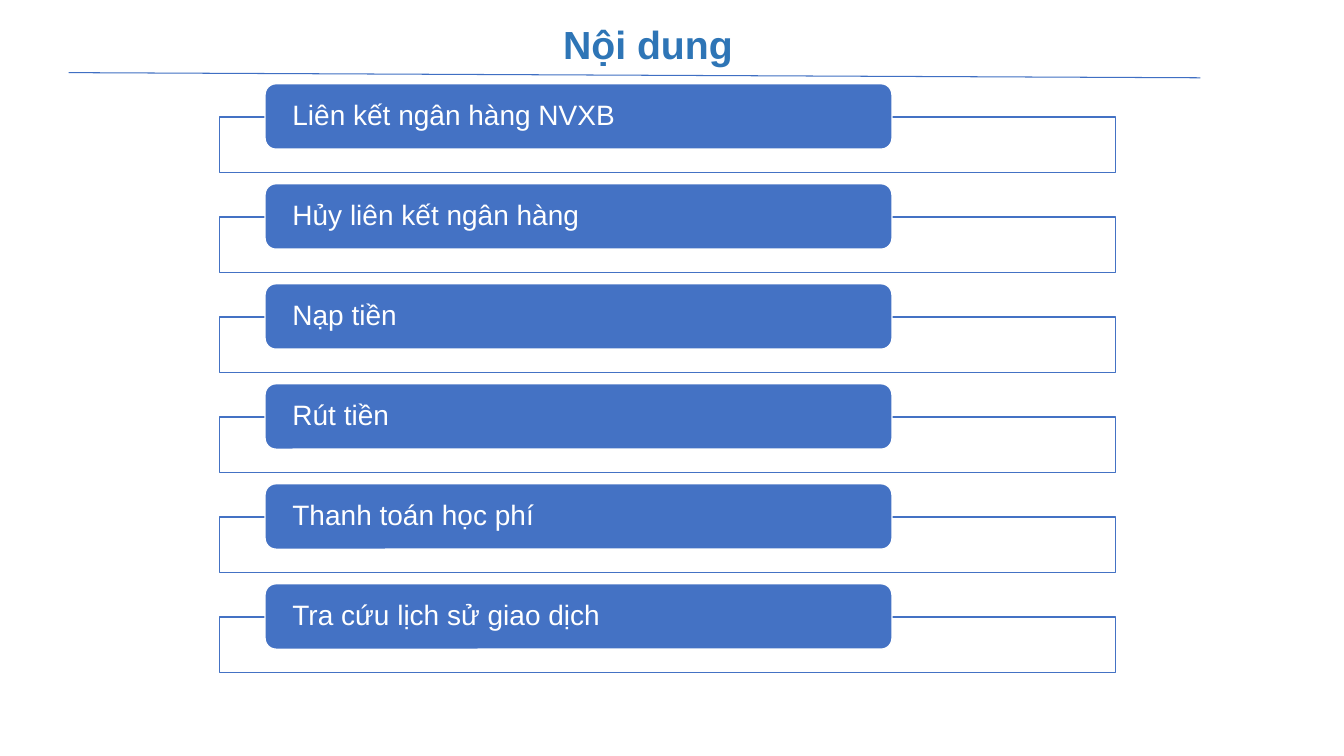
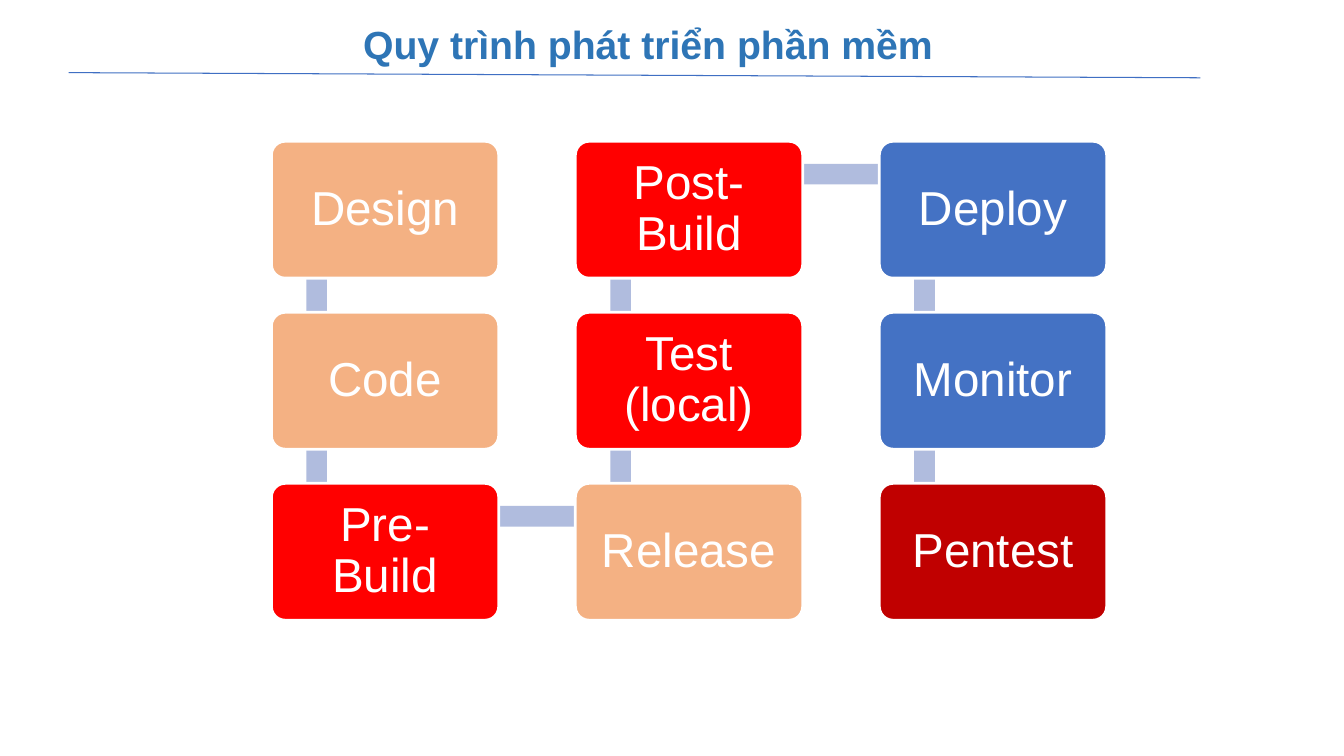
import pptx
import pptx.util
import pptx.dml.color
import pptx.enum.shapes
import pptx.enum.text
import pptx.oxml.ns
import lxml.etree

Cm = pptx.util.Cm
Pt = pptx.util.Pt
RGBColor = pptx.dml.color.RGBColor
SHAPES = pptx.enum.shapes.MSO_SHAPE
ALIGN = pptx.enum.text.PP_ALIGN
MIDDLE = pptx.enum.text.MSO_ANCHOR.MIDDLE

FONT = "Arial"
WHITE = RGBColor(0xFF, 0xFF, 0xFF)
TITLE_BLUE = RGBColor(0x2E, 0x75, 0xB6)
RULE_BLUE = RGBColor(0x3F, 0x6F, 0xC3)
BLUE = RGBColor(0x44, 0x72, 0xC4)
LAVENDER = RGBColor(0xB0, 0xBC, 0xDE)
ORANGE = RGBColor(0xF4, 0xB1, 0x83)
RED = RGBColor(0xFF, 0x00, 0x00)
DARK_RED = RGBColor(0xC0, 0x00, 0x00)

TOPICS = [
    "Liên kết ngân hàng NVXB",
    "Hủy liên kết ngân hàng",
    "Nạp tiền",
    "Rút tiền",
    "Thanh toán học phí",
    "Tra cứu lịch sử giao dịch",
]
TOPIC_PITCH = 2.52

STAGES = [
    ("Design", ORANGE),
    ("Code", ORANGE),
    ("Pre-Build", RED),
    ("Release", ORANGE),
    ("Test (local)", RED),
    ("Post-Build", RED),
    ("Deploy", BLUE),
    ("Monitor", BLUE),
    ("Pentest", DARK_RED),
]
STAGES_PER_COLUMN = 3
STAGE_LEFT, STAGE_TOP = 6.84, 3.56
STAGE_WIDTH, STAGE_HEIGHT = 5.73, 3.45
COLUMN_PITCH, ROW_PITCH = 7.66, 4.31
LINK_THICKNESS = 0.52


def write(frame, text, size, color, align, bold=False):
    frame.word_wrap = True
    frame.auto_size = pptx.enum.text.MSO_AUTO_SIZE.NONE
    frame.vertical_anchor = MIDDLE
    paragraph = frame.paragraphs[0]
    paragraph.alignment = align
    paragraph.line_spacing = 0.9
    run = paragraph.add_run()
    run.text = text
    run.font.name = FONT
    run.font.size = Pt(size)
    run.font.bold = bold
    run.font.color.rgb = color


def add_block(slide, kind, box, fill, line=None, line_width=1):
    block = slide.shapes.add_shape(kind, *map(Cm, box))
    block.shadow.inherit = False
    block.fill.solid()
    block.fill.fore_color.rgb = fill
    if line is None:
        block.line.fill.background()
    else:
        block.line.color.rgb = line
        block.line.width = Pt(line_width)
    return block


def set_insets(frame, horizontal, vertical):
    frame.margin_left = frame.margin_right = Cm(horizontal)
    frame.margin_top = frame.margin_bottom = Cm(vertical)


def add_titled_slide(deck, text):
    slide = deck.slides.add_slide(deck.slide_layouts[5])
    title = slide.shapes.title
    title.left, title.top, title.width, title.height = map(Cm, (1.73, 0.56, 29.2, 1.22))
    write(title.text_frame, text, 28, TITLE_BLUE, ALIGN.CENTER, bold=True)
    rule = slide.shapes.add_connector(
        pptx.enum.shapes.MSO_CONNECTOR.STRAIGHT, *map(Cm, (1.73, 1.83, 30.25, 1.96))
    )
    rule.line.color.rgb = RULE_BLUE
    rule.line.width = Pt(0.75)
    lxml.etree.SubElement(rule._element.spPr, pptx.oxml.ns.qn("a:effectLst"))
    return slide


def add_topic(slide, index, text):
    offset = index * TOPIC_PITCH
    add_block(slide, SHAPES.RECTANGLE, (5.54, 2.95 + offset, 22.58, 1.4), WHITE, BLUE)
    label = add_block(
        slide, SHAPES.ROUNDED_RECTANGLE, (6.68, 2.11 + offset, 15.8, 1.65), BLUE, WHITE
    )
    set_insets(label.text_frame, 0.61, 0)
    write(label.text_frame, text, 20, WHITE, ALIGN.LEFT)


def stage_corner(index):
    column, step = divmod(index, STAGES_PER_COLUMN)
    row = STAGES_PER_COLUMN - 1 - step if column % 2 else step
    return STAGE_LEFT + column * COLUMN_PITCH, STAGE_TOP + row * ROW_PITCH


def add_link(slide, start, end):
    left, top = min(start[0], end[0]), min(start[1], end[1])
    if start[0] == end[0]:
        box = (left + 0.88, top + 0.86, LINK_THICKNESS, ROW_PITCH)
    else:
        box = (left + 1.17, top + 0.57, COLUMN_PITCH, LINK_THICKNESS)
    add_block(slide, SHAPES.RECTANGLE, box, LAVENDER)


def add_stage(slide, corner, text, fill):
    box = (*corner, STAGE_WIDTH, STAGE_HEIGHT)
    stage = add_block(slide, SHAPES.ROUNDED_RECTANGLE, box, fill, WHITE, 2)
    stage.adjustments[0] = 0.1
    set_insets(stage.text_frame, 0.36, 0.36)
    write(stage.text_frame, text, 34, WHITE, ALIGN.CENTER)


def build_contents(deck):
    slide = add_titled_slide(deck, "Nội dung")
    for index, topic in enumerate(TOPICS):
        add_topic(slide, index, topic)


def build_process(deck):
    slide = add_titled_slide(deck, "Quy trình phát triển phần mềm")
    corners = [stage_corner(index) for index in range(len(STAGES))]
    for start, end in zip(corners, corners[1:]):
        add_link(slide, start, end)
    for corner, (text, fill) in zip(corners, STAGES):
        add_stage(slide, corner, text, fill)


def main():
    deck = pptx.Presentation()
    deck.slide_width, deck.slide_height = Cm(33.87), Cm(19.05)
    build_contents(deck)
    build_process(deck)
    deck.save("out.pptx")


if __name__ == "__main__":
    main()
